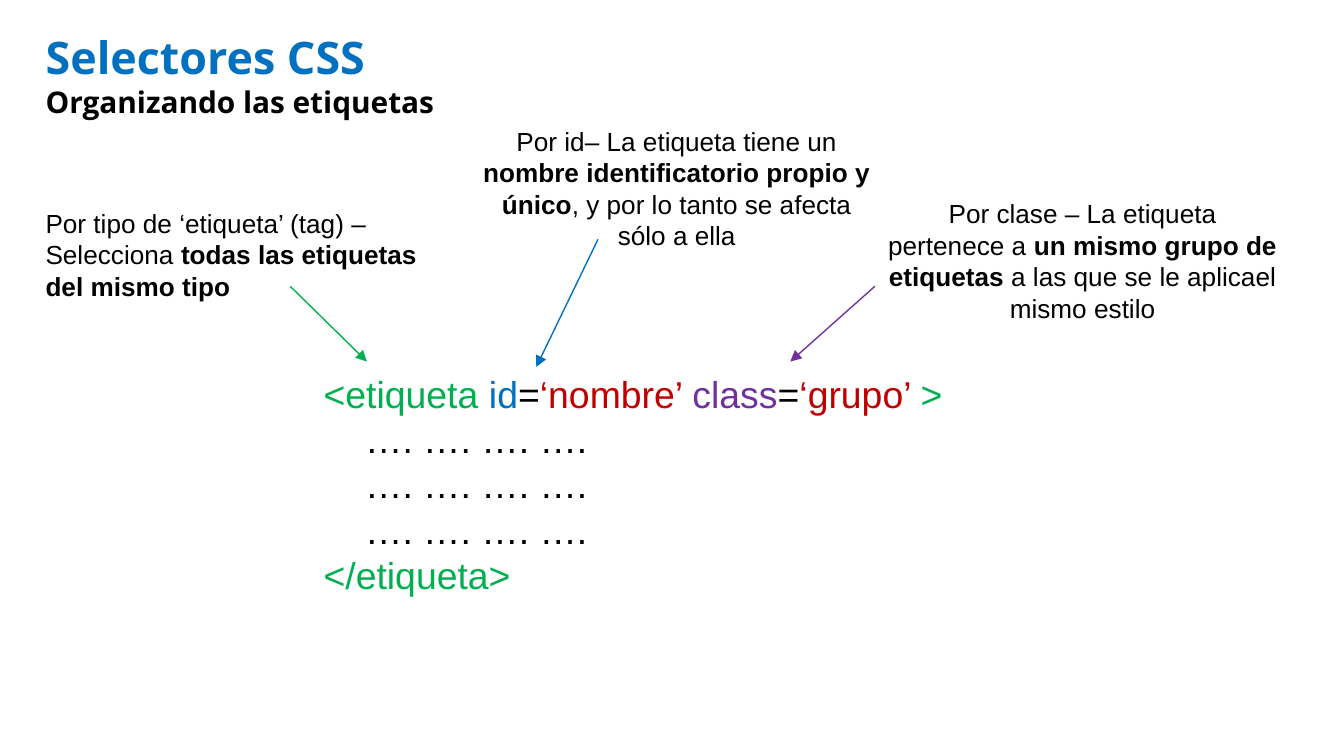
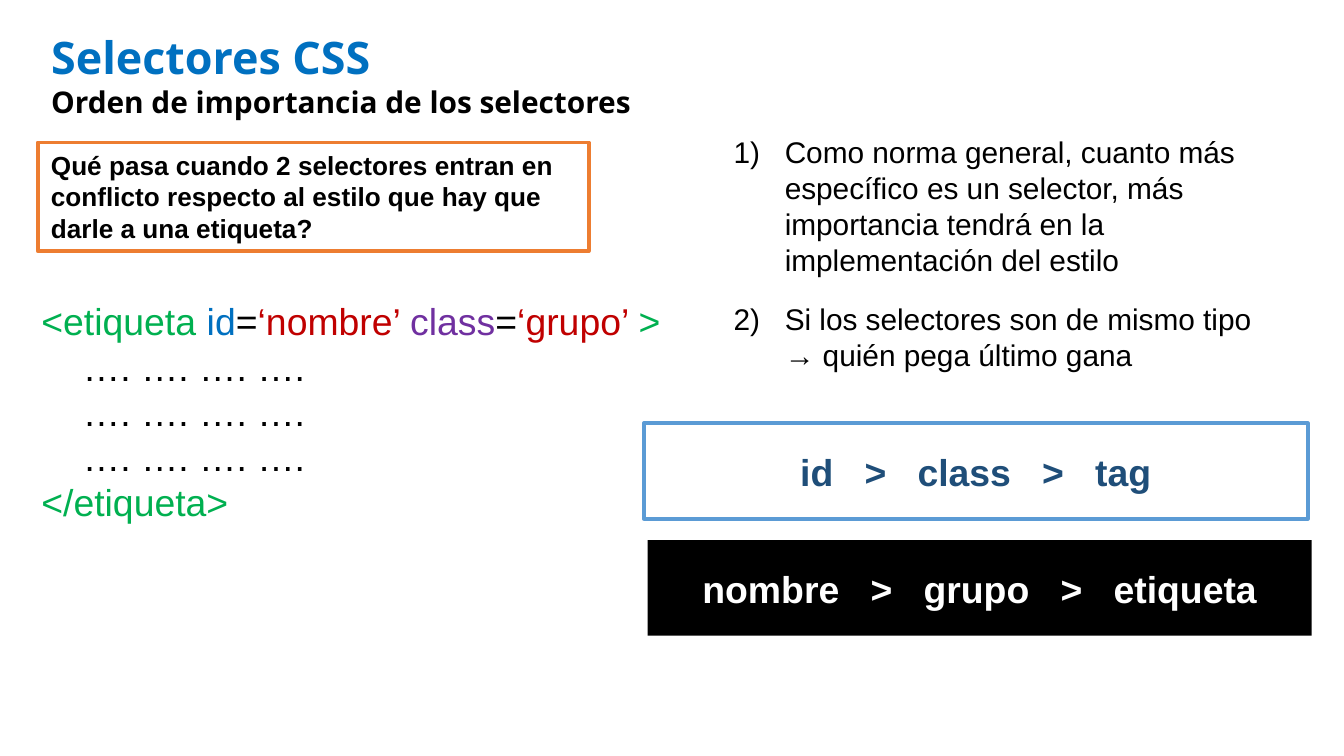
from dataclasses import dataclass

from lxml import etree
from pptx import Presentation
from pptx.dml.color import RGBColor
from pptx.enum import shapes, text
from pptx.oxml.ns import qn
from pptx.util import Pt


@dataclass(frozen=True)
class Theme:
    heading_font: str = "Open Sans"
    body_font: str = "Arial"
    title_size: int = 24
    subtitle_size: int = 16
    note_size: int = 14
    rule_size: int = 16
    code_size: int = 20
    leading: float = 1.21
    black: str = "000000"
    white: str = "FFFFFF"
    blue: str = "0070C0"
    green: str = "00B050"
    red: str = "C00000"
    purple: str = "7030A0"
    orange: str = "ED7D31"
    sky: str = "5B9BD5"
    navy: str = "1F4E79"


T = Theme()
LEFT, CENTER = text.PP_ALIGN.LEFT, text.PP_ALIGN.CENTER

# Content: a run is (words, colour, bold); a box is (left, top, width, height)
HEADING = "Selectores CSS"
CODE_OPEN = [("<etiqueta ", T.green), ("id", T.blue), ("=", T.black),
             ("‘nombre’ ", T.red), ("class", T.purple), ("=", T.black),
             ("‘grupo’ ", T.red), (">", T.green)]
CODE_BODY = [("…. …. …. ….", T.black)]
CODE_CLOSE = [("</etiqueta>", T.green)]
CODE_BODY_LINES = 3
CODE_INDENT = 22.24

TAGS = {
    "subtitle": "Organizando las etiquetas",
    "title_box": (17.3, 12.2, 230, 55.4),
    "code_box": (166.3, 195.1, 465, 128),
    "notes": [
        ((17.3, 107.3, 222.5, 58), LEFT,
         [("Por tipo de ‘etiqueta’ (tag) – Selecciona ", T.black),
          ("todas las etiquetas del mismo tipo", T.black, True)]),
        ((251.3, 63.4, 222.5, 75), CENTER,
         [("Por id– La etiqueta tiene un ", T.black),
          ("nombre identificatorio propio y único", T.black, True),
          (", y por lo tanto se afecta sólo a ella", T.black)]),
        ((468.7, 102.2, 222.5, 75), CENTER,
         [("Por clase – La etiqueta pertenece a ", T.black),
          ("un mismo grupo de etiquetas", T.black, True),
          (" a las que se le aplicael mismo estilo", T.black)]),
    ],
    "arrows": [((155.5, 153.4), (196.6, 193.7), T.green),
               ((320.4, 128.2), (287.3, 196.6), T.blue),
               ((468.7, 153.4), (423.4, 193.7), T.purple)],
}

PRIORITY = {
    "subtitle": "Orden de importancia de los selectores",
    "title_box": (20.2, 12.2, 330, 55.4),
    "code_box": (15.1, 156.2, 355.7, 128),
    "rules_box": (385.9, 67.7, 293.8, 135.4),
    "rules": ["Como norma general, cuanto más específico es un selector, más "
              "importancia tendrá en la implementación del estilo",
              "Si los selectores son de mismo tipo → quién pega último gana"],
    "question_box": (20.2, 76.3, 295.2, 58.3),
    "question": "Qué pasa cuando 2 selectores entran en conflicto respecto al "
                "estilo que hay que darle a una etiqueta?",
    "rankings": [
        ((344.9, 226.8, 355.7, 51.1), ["id", "class", "tag"], T.navy, T.white, T.sky),
        ((347, 289.4, 355.7, 51.1), ["nombre", "grupo", "etiqueta"], T.white, T.black, None),
    ],
}
RULE_INDENT = 27.4
RULE_GAP = 12
RANKING_TRACKING = 11.12


def rgb(colour):
    return RGBColor.from_string(colour)


def points(values):
    return [Pt(value) for value in values]


def write(frame, paragraphs, size, align=LEFT):
    """Fill a text frame with paragraphs, each a list of runs."""
    frame.word_wrap = True
    for index, runs in enumerate(paragraphs):
        paragraph = frame.paragraphs[0] if index == 0 else frame.add_paragraph()
        paragraph.alignment = align
        paragraph.line_spacing = Pt(round(size * T.leading, 1))
        paragraph.font.name, paragraph.font.size = T.body_font, Pt(size)
        for words, colour, *bold in runs:
            run = paragraph.add_run()
            run.text = words
            run.font.color.rgb = rgb(colour)
            run.font.bold = bool(bold)
    return frame


def add_text(slide, box, paragraphs, size, align=LEFT):
    frame = slide.shapes.add_textbox(*points(box)).text_frame
    return write(frame, paragraphs, size, align)


def indent(paragraph, left, first=0):
    properties = paragraph._p.get_or_add_pPr()
    properties.set("marL", str(int(Pt(left))))
    properties.set("indent", str(int(Pt(first))))
    return properties


def add_panel(slide, box, fill, line):
    panel = slide.shapes.add_shape(shapes.MSO_SHAPE.RECTANGLE, *points(box))
    panel.shadow.inherit = False
    panel.fill.solid()
    panel.fill.fore_color.rgb = rgb(fill)
    if line:
        panel.line.color.rgb = rgb(line)
        panel.line.width = Pt(2)
    else:
        panel.line.fill.background()
    return panel.text_frame


def add_arrow(slide, start, end, colour):
    arrow = slide.shapes.add_connector(
        shapes.MSO_CONNECTOR.STRAIGHT, *points(start + end))
    arrow.line.color.rgb = rgb(colour)
    arrow.line.width = Pt(0.75)
    etree.SubElement(arrow.line._get_or_add_ln(), qn("a:tailEnd"), type="triangle")
    etree.SubElement(arrow._element.spPr, qn("a:effectLst"))


def add_code(slide, box):
    lines = [CODE_OPEN, *[CODE_BODY] * CODE_BODY_LINES, CODE_CLOSE]
    frame = add_text(slide, box, lines, T.code_size)
    for paragraph in frame.paragraphs[1:-1]:
        indent(paragraph, CODE_INDENT)


def add_ranking(slide, box, names, colour, fill, line):
    """Panel that ranks names, with widely tracked spaces around each sign."""
    runs = [(names[0], colour, True)]
    for name in names[1:]:
        runs += [(part, colour, True) for part in (" ", ">", " ", name)]
    frame = write(add_panel(slide, box, fill, line), [runs], T.code_size, CENTER)
    frame.vertical_anchor = text.MSO_ANCHOR.MIDDLE
    for run in frame.paragraphs[0].runs:
        if run.text == " ":
            run.font._element.set("spc", str(round(RANKING_TRACKING * 100)))


def start_slide(deck, content):
    """Add a slide with the shared heading, its subtitle and the code sample."""
    slide = deck.slides.add_slide(deck.slide_layouts[5])
    title = slide.shapes.title
    title.left, title.top, title.width, title.height = points(content["title_box"])
    frame = title.text_frame
    frame.text = HEADING + "\n" + content["subtitle"]
    frame.word_wrap = False
    frame.auto_size = text.MSO_AUTO_SIZE.SHAPE_TO_FIT_TEXT
    frame.vertical_anchor = text.MSO_ANCHOR.TOP
    styles = [(T.title_size, T.blue), (T.subtitle_size, T.black)]
    for paragraph, (size, colour) in zip(frame.paragraphs, styles):
        paragraph.alignment = LEFT
        paragraph.space_before = Pt(0)
        font = paragraph.font
        font.name, font.size, font.bold = T.heading_font, Pt(size), True
        font.color.rgb = rgb(colour)
    add_code(slide, content["code_box"])
    return slide


def build_tags(deck):
    slide = start_slide(deck, TAGS)
    for box, align, runs in TAGS["notes"]:
        add_text(slide, box, [runs], T.note_size, align)
    for arrow in TAGS["arrows"]:
        add_arrow(slide, *arrow)


def build_priority(deck):
    slide = start_slide(deck, PRIORITY)
    rules = [[(rule, T.black)] for rule in PRIORITY["rules"]]
    frame = add_text(slide, PRIORITY["rules_box"], rules, T.rule_size)
    for paragraph in frame.paragraphs:
        paragraph.space_after = Pt(RULE_GAP)
        properties = indent(paragraph, RULE_INDENT, -RULE_INDENT)
        etree.SubElement(properties, qn("a:buFont"), typeface="+mj-lt")
        etree.SubElement(properties, qn("a:buAutoNum"), type="arabicParenR")
        # The schema wants default run properties last
        for defaults in properties.findall(qn("a:defRPr")):
            properties.append(defaults)

    question = add_panel(slide, PRIORITY["question_box"], T.white, T.orange)
    write(question, [[(PRIORITY["question"], T.black, True)]], T.note_size)
    question.vertical_anchor = text.MSO_ANCHOR.TOP
    for ranking in PRIORITY["rankings"]:
        add_ranking(slide, *ranking)


def main():
    deck = Presentation()
    deck.slide_width, deck.slide_height = Pt(720), Pt(405)
    build_tags(deck)
    build_priority(deck)
    deck.save("out.pptx")


if __name__ == "__main__":
    main()
